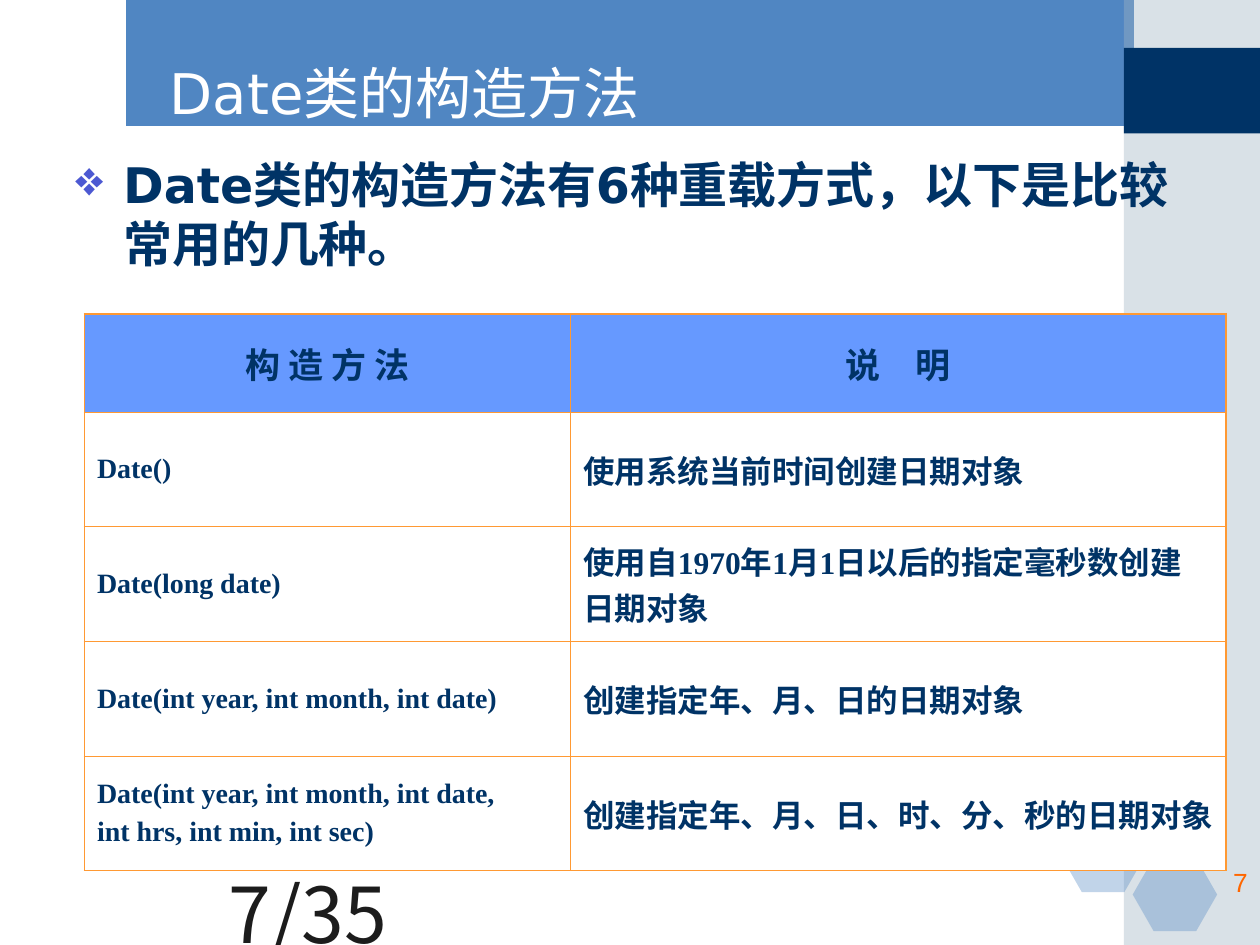
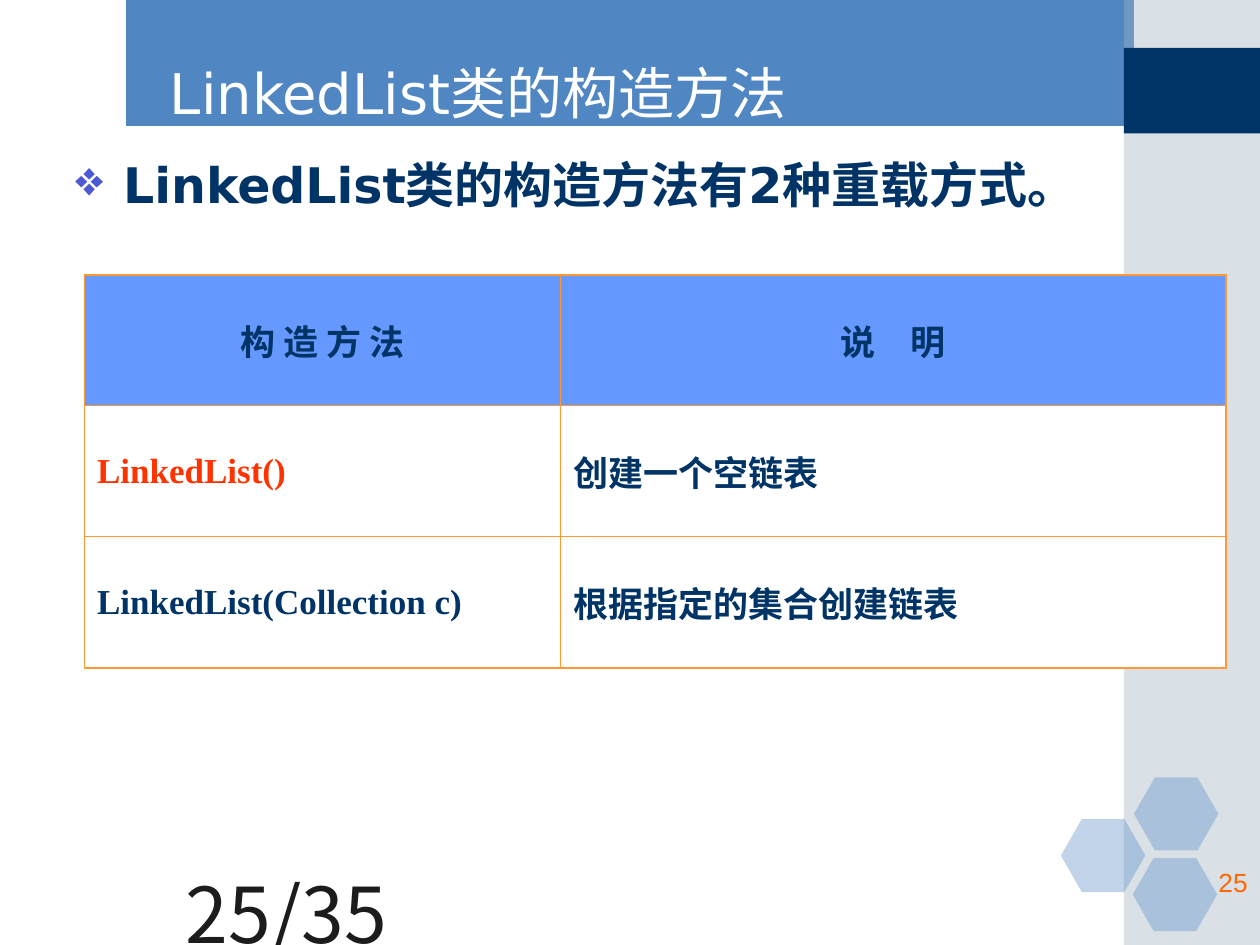
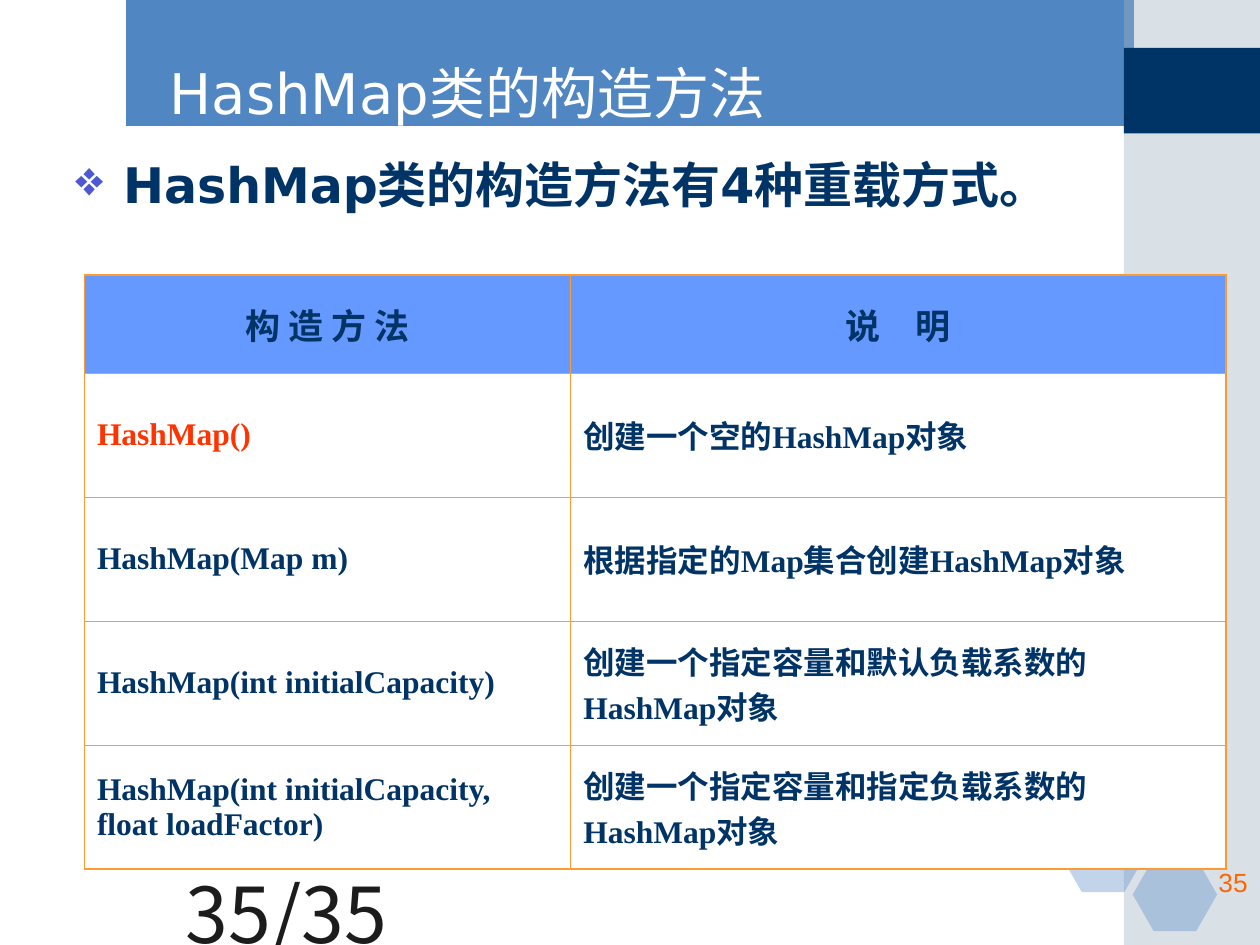
from lxml.etree import SubElement
from pptx import Presentation
from pptx.dml.color import RGBColor
from pptx.enum.shapes import MSO_SHAPE as SHAPE
from pptx.enum.text import MSO_ANCHOR as ANCHOR, PP_ALIGN as ALIGN
from pptx.oxml.ns import qn
from pptx.util import Inches, Pt

# Colours and fonts
NAVY = RGBColor(0x00, 0x33, 0x66)
BLUE = RGBColor(0x50, 0x86, 0xC2)
MIST = RGBColor(0xA0, 0xB5, 0xC4)
HEADER = RGBColor(0x66, 0x99, 0xFF)
WHITE = RGBColor(0xFF, 0xFF, 0xFF)
BLACK = RGBColor(0x1C, 0x1C, 0x1C)
ORANGE = RGBColor(0xFF, 0x66, 0x00)
BORDER = RGBColor(0xFF, 0x99, 0x33)
RED = RGBColor(0xFF, 0x33, 0x00)
VIOLET = RGBColor(0x4C, 0x59, 0xD2)
SANS, CJK = "DejaVu Sans", "Noto Sans CJK SC"
MONO, SERIF, ARIAL = "Courier New", "Times New Roman", "Arial"

# Content
TOTAL = 35
HEADINGS = ("构 造 方 法", "说　明")
SLIDES = [
    {"page": 7, "cls": "Date", "summary": "有6种重载方式，以下是比较常用的几种。",
     "top": 2.49, "header": 0.78, "row": 0.91, "cols": (3.86, 5.2),
     "sizes": (16, 18), "first": NAVY,
     "rows": [
         ("Date()", "使用系统当前时间创建日期对象"),
         ("Date(long date)", "使用自1970年1月1日以后的指定毫秒数创建日期对象"),
         ("Date(int year, int month, int date)", "创建指定年、月、日的日期对象"),
         ("Date(int year, int month, int date,\nint hrs, int min, int sec)",
          "创建指定年、月、日、时、分、秒的日期对象"),
     ]},
    {"page": 25, "cls": "LinkedList", "summary": "有2种重载方式。",
     "top": 2.18, "header": 1.04, "row": 1.04, "cols": (3.78, 5.28),
     "sizes": (20, 20), "first": RED,
     "rows": [
         ("LinkedList()", "创建一个空链表"),
         ("LinkedList(Collection c)", "根据指定的集合创建链表"),
     ]},
    {"page": 35, "cls": "HashMap", "summary": "有4种重载方式。",
     "top": 2.18, "header": 0.78, "row": 0.985, "cols": (3.86, 5.2),
     "sizes": (18, 18), "first": RED,
     "rows": [
         ("HashMap()", "创建一个空的HashMap对象"),
         ("HashMap(Map m)", "根据指定的Map集合创建HashMap对象"),
         ("HashMap(int initialCapacity)", "创建一个指定容量和默认负载系数的HashMap对象"),
         ("HashMap(int initialCapacity, float loadFactor)",
          "创建一个指定容量和指定负载系数的HashMap对象"),
     ]},
]

# Shared layout, in inches
WIDTH, HEIGHT = 10, 7.5
SIDE_LEFT, SIDE_WIDTH = 8.92, 1.08
BAND = [(0.98, 0.38), (8.95, 0.38), (8.95, 1.06), (0.98, 1.07)]
HEXAGONS = [(8.42, 6.5), (9, 6.17), (8.99, 6.81)]
TABLE_LEFT = 0.67
THICK, THIN = Pt(1.08), Pt(0.45)


def paint(sp, color, alpha=None):
    sp.shadow.inherit = False
    sp.fill.solid()
    sp.fill.fore_color.rgb = color
    sp.line.fill.background()
    if alpha:
        clr = sp.fill._xPr.find(qn("a:solidFill"))[0]
        SubElement(clr, qn("a:alpha"), val=str(alpha * 1000))


def write(tf, text, size, font, color, bold=False, align=ALIGN.LEFT, east=CJK):
    """Fill a text frame, one paragraph per line of text."""
    tf.word_wrap = True
    for i, line in enumerate(text.split("\n")):
        p = tf.add_paragraph() if i else tf.paragraphs[0]
        p.alignment = align
        if i:
            p.space_before = Pt(size / 4)
        r = p.add_run()
        r.text = line
        for key, value in {"size": Pt(size), "name": font, "bold": bold}.items():
            setattr(r.font, key, value)
        r.font.color.rgb = color
        SubElement(r._r.get_or_add_rPr(), qn("a:ea"), typeface=east)


def text_box(s, box, *args, anchor=ANCHOR.TOP, **kwargs):
    tf = s.shapes.add_textbox(*map(Inches, box)).text_frame
    tf.vertical_anchor = anchor
    write(tf, *args, **kwargs)
    return tf


def add_bullet(p):
    pPr = p._p.get_or_add_pPr()
    indent = Inches(0.38)
    pPr.set("marL", str(indent))
    pPr.set("indent", str(-indent))
    SubElement(SubElement(pPr, qn("a:buClr")), qn("a:srgbClr"), val=str(VIOLET))
    SubElement(pPr, qn("a:buChar"), char="❖")


def set_borders(cell, edges):
    """Draw thick lines on the table's outer edges and thin ones inside."""
    tcPr = cell._tc.get_or_add_tcPr()
    for i, (side, outer) in enumerate(edges.items()):
        ln = tcPr.makeelement(qn(f"a:ln{side}"), {"w": str(THICK if outer else THIN)})
        SubElement(SubElement(ln, qn("a:solidFill")), qn("a:srgbClr"), val=str(BORDER))
        tcPr.insert(i, ln)


def add_frame(s):
    """Title band, side stripe and hexagons."""
    fb = s.shapes.build_freeform(*BAND[0], scale=Inches(1))
    fb.add_line_segments(BAND[1:], close=True)
    paint(fb.convert_to_shape(), BLUE)
    for top, height, color, alpha in ((0, HEIGHT, MIST, 40), (0.38, 0.68, NAVY, None)):
        box = map(Inches, (SIDE_LEFT, top, SIDE_WIDTH, height))
        paint(s.shapes.add_shape(SHAPE.RECTANGLE, *box), color, alpha)
    for left, top in HEXAGONS:
        box = map(Inches, (left, top, 0.67, 0.58))
        hexagon = s.shapes.add_shape(SHAPE.HEXAGON, *box)
        hexagon.adjustments[0] = 0.286
        paint(hexagon, BLUE, 35)


def add_method_table(s, d):
    rows = [HEADINGS] + d["rows"]
    heights = [d["header"]] + [d["row"]] * len(d["rows"])
    box = map(Inches, (TABLE_LEFT, d["top"], sum(d["cols"]), sum(heights)))
    table = s.shapes.add_table(len(rows), len(HEADINGS), *box).table
    table.horz_banding = False
    for col, width in zip(table.columns, d["cols"]):
        col.width = Inches(width)
    for r, row in enumerate(rows):
        table.rows[r].height = Inches(heights[r])
        for c, text in enumerate(row):
            cell = table.cell(r, c)
            cell.vertical_anchor = ANCHOR.MIDDLE
            cell.fill.solid()
            cell.fill.fore_color.rgb = WHITE if r else HEADER
            if r:
                color = d["first"] if (r, c) == (1, 0) else NAVY
                write(cell.text_frame, text, d["sizes"][c], SERIF, color, bold=True)
            else:
                write(cell.text_frame, text, 20, MONO, NAVY, bold=True, align=ALIGN.CENTER)
            set_borders(cell, {"L": c == 0, "R": c == len(row) - 1,
                               "T": r == 0, "B": r == len(rows) - 1})


def add_slide(prs, d):
    s = prs.slides.add_slide(prs.slide_layouts[6])
    add_frame(s)
    title = f"{d['cls']}类的构造方法"
    text_box(s, (1.25, 0.42, 7.33, 0.62), title, 32, SANS, WHITE,
             anchor=ANCHOR.MIDDLE, east=SANS)
    body = text_box(s, (0.5, 1.18, 9, 5.74), title + d["summary"], 28, SANS, NAVY,
                    bold=True, east=SANS)
    add_bullet(body.paragraphs[0])
    # Page counters
    text_box(s, (0, 6.83, 3.17, 0.5), f"{d['page']}/{TOTAL}", 44, CJK, BLACK,
             align=ALIGN.RIGHT)
    text_box(s, (7.92, 6.83, 2.08, 0.5), str(d["page"]), 15, ARIAL, ORANGE,
             align=ALIGN.RIGHT)
    add_method_table(s, d)


def main():
    prs = Presentation()
    prs.slide_width, prs.slide_height = Inches(WIDTH), Inches(HEIGHT)
    for d in SLIDES:
        add_slide(prs, d)
    prs.save("out.pptx")


if __name__ == "__main__":
    main()
